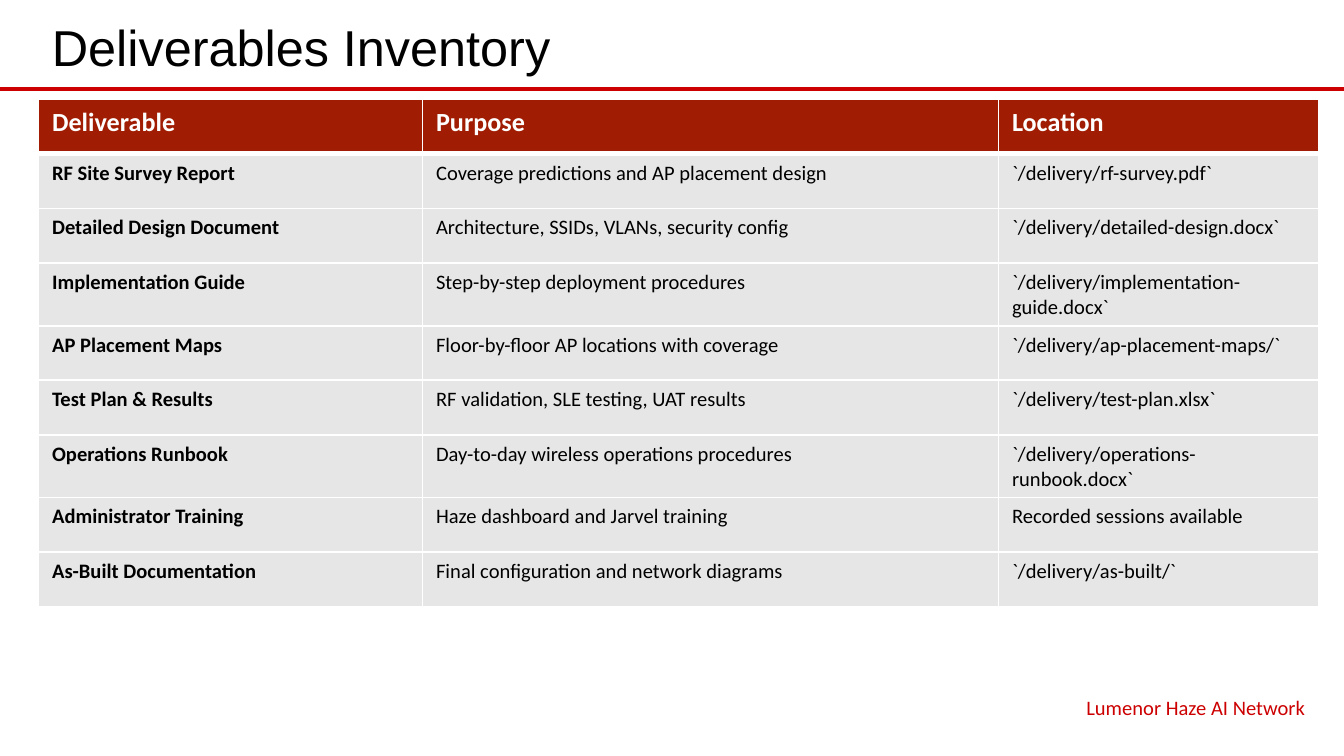
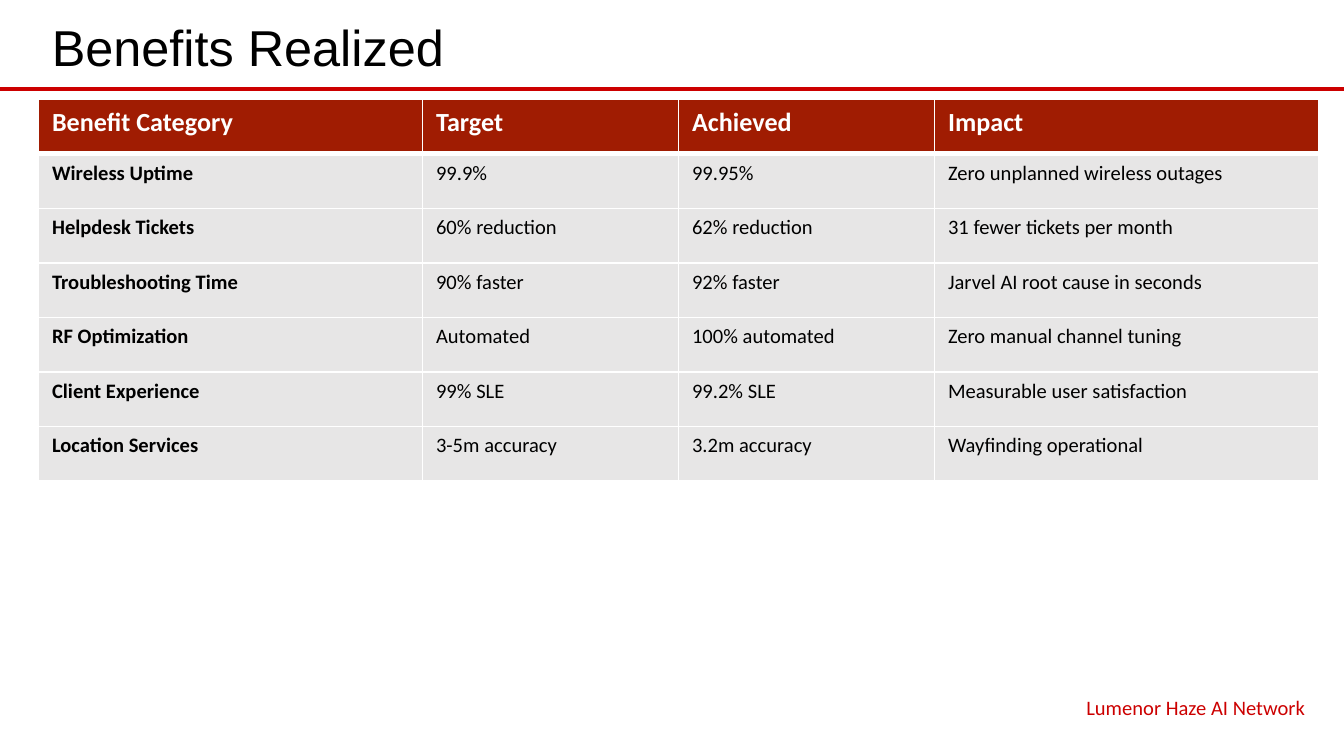
"""Build two project-closeout table slides that share a title, rule and footer."""
from dataclasses import dataclass

import lxml.etree
import pptx
import pptx.dml.color
import pptx.enum.shapes
import pptx.enum.text
import pptx.oxml.ns
import pptx.presentation
import pptx.slide
import pptx.table
import pptx.text.text
import pptx.util

Cm = pptx.util.Cm
Pt = pptx.util.Pt
RGBColor = pptx.dml.color.RGBColor
Anchor = pptx.enum.text.MSO_ANCHOR
Align = pptx.enum.text.PP_ALIGN

BLACK = RGBColor(0x00, 0x00, 0x00)
WHITE = RGBColor(0xFF, 0xFF, 0xFF)
ACCENT_RED = RGBColor(0xCC, 0x00, 0x00)
HEADER_RED = RGBColor(0xA0, 0x1C, 0x02)
BODY_GRAY = RGBColor(0xE7, 0xE6, 0xE6)

SLIDE_WIDTH = Cm(25.4)
SLIDE_HEIGHT = Cm(14.29)
CONTENT_LEFT = Cm(0.73)
CONTENT_WIDTH = Cm(24.19)
RULE_TOP = Cm(1.68)
TABLE_TOP = Cm(1.88)
ROW_HEIGHT = Cm(1.03)
FOOTER = "Lumenor Haze AI Network"


@dataclass(frozen=True)
class TextStyle:
    """Character formatting of one kind of text."""

    font: str
    size: float
    color: RGBColor
    bold: bool = False


@dataclass(frozen=True)
class TextArea:
    """Place and style of a text that every slide carries."""

    left: int
    top: int
    width: int
    height: int
    style: TextStyle
    align: Align
    anchor: Anchor


@dataclass(frozen=True)
class TableSlide:
    """Title, column percentages and rows of a slide; the first row is the header."""

    title: str
    shares: tuple[int, ...]
    rows: tuple[tuple[str, ...], ...]


HEADER_STYLE = TextStyle("Calibri", 14, WHITE, bold=True)
LABEL_STYLE = TextStyle("Calibri", 11, BLACK, bold=True)
DETAIL_STYLE = TextStyle("Calibri", 11, BLACK)

TITLE_AREA = TextArea(
    CONTENT_LEFT, Cm(0.1), CONTENT_WIDTH, Cm(1.47),
    TextStyle("Arial", 27, BLACK), Align.LEFT, Anchor.BOTTOM,
)
FOOTER_AREA = TextArea(
    Cm(15.98), Cm(13.01), Cm(8.94), Cm(0.66),
    TextStyle("Calibri", 11, ACCENT_RED), Align.RIGHT, Anchor.TOP,
)

SLIDES = (
    TableSlide(
        "Deliverables Inventory",
        (30, 45, 25),
        (
            ("Deliverable", "Purpose", "Location"),
            ("RF Site Survey Report", "Coverage predictions and AP placement design",
             "`/delivery/rf-survey.pdf`"),
            ("Detailed Design Document", "Architecture, SSIDs, VLANs, security config",
             "`/delivery/detailed-design.docx`"),
            ("Implementation Guide", "Step-by-step deployment procedures",
             "`/delivery/implementation-guide.docx`"),
            ("AP Placement Maps", "Floor-by-floor AP locations with coverage",
             "`/delivery/ap-placement-maps/`"),
            ("Test Plan & Results", "RF validation, SLE testing, UAT results",
             "`/delivery/test-plan.xlsx`"),
            ("Operations Runbook", "Day-to-day wireless operations procedures",
             "`/delivery/operations-runbook.docx`"),
            ("Administrator Training", "Haze dashboard and Jarvel training",
             "Recorded sessions available"),
            ("As-Built Documentation", "Final configuration and network diagrams",
             "`/delivery/as-built/`"),
        ),
    ),
    TableSlide(
        "Benefits Realized",
        (30, 20, 20, 30),
        (
            ("Benefit Category", "Target", "Achieved", "Impact"),
            ("Wireless Uptime", "99.9%", "99.95%", "Zero unplanned wireless outages"),
            ("Helpdesk Tickets", "60% reduction", "62% reduction", "31 fewer tickets per month"),
            ("Troubleshooting Time", "90% faster", "92% faster", "Jarvel AI root cause in seconds"),
            ("RF Optimization", "Automated", "100% automated", "Zero manual channel tuning"),
            ("Client Experience", "99% SLE", "99.2% SLE", "Measurable user satisfaction"),
            ("Location Services", "3-5m accuracy", "3.2m accuracy", "Wayfinding operational"),
        ),
    ),
)


def write_text(frame: pptx.text.text.TextFrame, text: str, style: TextStyle) -> None:
    """Fill a text frame with one formatted paragraph."""
    frame.text = text
    font = frame.paragraphs[0].runs[0].font
    font.name = style.font
    font.size = Pt(style.size)
    font.bold = style.bold
    font.color.rgb = style.color


def add_text(slide: pptx.slide.Slide, area: TextArea, text: str) -> None:
    """Add a text in its shared area."""
    frame = slide.shapes.add_textbox(area.left, area.top, area.width, area.height).text_frame
    frame.word_wrap = True
    frame.vertical_anchor = area.anchor
    write_text(frame, text, area.style)
    frame.paragraphs[0].alignment = area.align


def add_title_rule(slide: pptx.slide.Slide) -> None:
    """Draw the red rule below the title."""
    rule = slide.shapes.add_connector(
        pptx.enum.shapes.MSO_CONNECTOR.STRAIGHT, 0, RULE_TOP, SLIDE_WIDTH, RULE_TOP
    )
    rule.line.color.rgb = ACCENT_RED
    rule.line.width = Pt(2.25)
    lxml.etree.SubElement(rule._element.spPr, pptx.oxml.ns.qn("a:effectLst"))


def add_borders(cell: pptx.table._Cell, top: float, bottom: float) -> None:
    """Give a cell white borders with the given top and bottom widths in points."""
    qn = pptx.oxml.ns.qn
    properties = cell._tc.get_or_add_tcPr()
    for side, width in (("L", 1), ("R", 1), ("T", top), ("B", bottom)):
        border = lxml.etree.SubElement(properties, qn(f"a:ln{side}"), w=str(Pt(width)))
        fill = lxml.etree.SubElement(border, qn("a:solidFill"))
        lxml.etree.SubElement(fill, qn("a:srgbClr"), val=str(WHITE))


def add_table(slide: pptx.slide.Slide, content: TableSlide) -> None:
    """Add the table with its header row and bold first column."""
    table = slide.shapes.add_table(
        len(content.rows), len(content.shares), CONTENT_LEFT, TABLE_TOP,
        CONTENT_WIDTH, ROW_HEIGHT * len(content.rows),
    ).table
    table.horz_banding = False
    for column, share in zip(table.columns, content.shares):
        column.width = CONTENT_WIDTH * share // 100
    for row_index, texts in enumerate(content.rows):
        is_header = row_index == 0
        table.rows[row_index].height = ROW_HEIGHT
        for column_index, text in enumerate(texts):
            cell = table.cell(row_index, column_index)
            body_style = LABEL_STYLE if column_index == 0 else DETAIL_STYLE
            write_text(cell.text_frame, text, HEADER_STYLE if is_header else body_style)
            add_borders(cell, top=3 if row_index == 1 else 1, bottom=3 if is_header else 1)
            cell.fill.solid()
            cell.fill.fore_color.rgb = HEADER_RED if is_header else BODY_GRAY


def add_table_slide(deck: pptx.presentation.Presentation, content: TableSlide) -> None:
    """Add one slide with the shared frame and its table."""
    slide = deck.slides.add_slide(deck.slide_layouts[6])
    add_title_rule(slide)
    add_text(slide, TITLE_AREA, content.title)
    add_table(slide, content)
    add_text(slide, FOOTER_AREA, FOOTER)


def main() -> None:
    """Build and save the deck."""
    deck = pptx.Presentation()
    deck.slide_width = SLIDE_WIDTH
    deck.slide_height = SLIDE_HEIGHT
    for content in SLIDES:
        add_table_slide(deck, content)
    deck.save("out.pptx")


if __name__ == "__main__":
    main()
